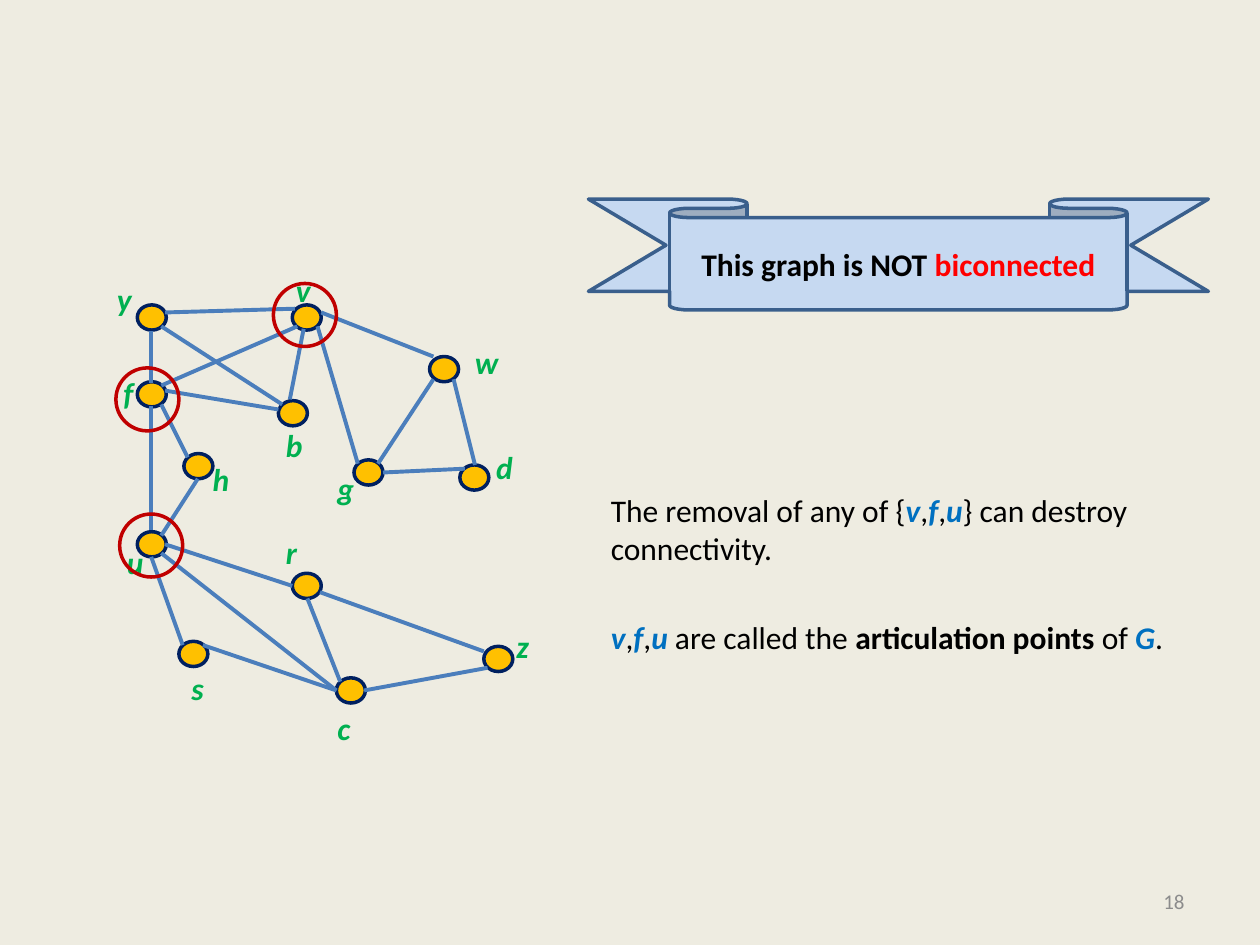
import pptx
import pptx.dml.color
import pptx.enum.shapes
import pptx.enum.text
import pptx.util
from pptx.util import Inches

SHAPE = pptx.enum.shapes.MSO_SHAPE
ALIGN = pptx.enum.text.PP_ALIGN
ANCHOR = pptx.enum.text.MSO_ANCHOR

COLORS = {
    "back": "EEECE1", "node": "FFC000", "rim": "002060", "edge": "4B7EBC",
    "label": "00B050", "ring": "C00000", "band": "C6D9F1", "trim": "3A5F8C",
    "text": "000000", "blue": "0070C0", "red": "FF0000", "grey": "8C8C8C",
}

# style: colour name, then font values
STYLES = {
    "plain": ("text", {"size": 18}),
    "bold": ("text", {"size": 18, "bold": True}),
    "alert": ("red", {"size": 18, "bold": True}),
    "math": ("blue", {"size": 18, "bold": True, "italic": True}),
    "label": ("label", {"size": 18, "bold": True, "italic": True}),
    "page": ("grey", {"size": 12}),
}

# vertex: left and top of the dot; left, top and width of the label
NODES = {
    "y": (1.09, 2.42, 0.83, 2.17, 0.32),
    "f": (1.09, 3.03, 0.88, 2.92, 0.28),
    "h": (1.46, 3.60, 1.59, 3.60, 0.34),
    "u": (1.09, 4.22, 0.91, 4.26, 0.34),
    "b": (2.21, 3.18, 2.17, 3.33, 0.34),
    "r": (2.32, 4.55, 2.17, 4.18, 0.29),
    "s": (1.42, 5.09, 1.42, 5.26, 0.30),
    "z": (3.84, 5.13, 4.00, 4.93, 0.30),
    "g": (2.81, 3.65, 2.58, 3.67, 0.34),
    "c": (2.67, 5.38, 2.58, 5.58, 0.31),
    "v": (2.32, 2.42, 2.25, 2.10, 0.32),
    "d": (3.65, 3.69, 3.84, 3.51, 0.34),
    "w": (3.41, 2.83, 3.67, 2.67, 0.39),
}

# start and end points on the rims of the dots
EDGES = {
    "ur": (1.31, 4.32, 2.32, 4.65), "fb": (1.31, 3.10, 2.21, 3.25),
    "yv": (1.31, 2.48, 2.34, 2.45), "yf": (1.20, 2.63, 1.20, 3.04),
    "su": (1.45, 5.12, 1.20, 4.42), "fu": (1.20, 3.22, 1.20, 4.21),
    "vw": (2.55, 2.48, 3.44, 2.83), "dw": (3.77, 3.69, 3.60, 3.01),
    "cz": (2.89, 5.48, 3.87, 5.30), "fh": (1.28, 3.21, 1.49, 3.63),
    "rc": (2.44, 4.75, 2.70, 5.41), "gd": (3.04, 3.75, 3.69, 3.72),
    "gw": (3.00, 3.68, 3.44, 3.01), "uc": (1.28, 4.39, 2.67, 5.48),
    "vb": (2.41, 2.61, 2.30, 3.17), "zr": (3.84, 5.17, 2.54, 4.70),
    "yb": (1.28, 2.59, 2.24, 3.21), "vf": (2.36, 2.59, 1.28, 3.06),
    "vg": (2.52, 2.59, 2.84, 3.68), "hu": (1.57, 3.80, 1.28, 4.25),
    "sc": (1.61, 5.12, 2.67, 5.48),
}

RINGS = {"v": (2.17, 2.25), "f": (0.92, 2.92), "u": (0.95, 4.08)}

TRIO = [("v", "math"), (",", "plain"), ("f", "math"), (",", "plain")]
CLAIM = [("The removal of any of {", "plain"), *TRIO, ("u", "math"),
         ("} can destroy connectivity.", "plain")]
TERM = [*TRIO, ("u ", "math"), ("are called the ", "plain"),
        ("articulation points ", "bold"), ("of ", "plain"),
        ("G", "math"), (".", "plain")]


def color(name):
    return pptx.dml.color.RGBColor.from_string(COLORS[name])


def assign(item, values):
    for key, value in values.items():
        setattr(item, key, value)


def add_runs(para, runs):
    for text, style in runs:
        run = para.add_run()
        run.text = text
        tint, values = STYLES[style]
        assign(run.font, {"name": "Calibri", **values,
                          "size": pptx.util.Pt(values["size"])})
        run.font.color.rgb = color(tint)


def add_text(shapes, box, paras, gap=0, align=ALIGN.LEFT, **frame):
    """Text box; gap is the space in points between paragraphs."""
    body = shapes.add_textbox(*map(Inches, box)).text_frame
    assign(body, {"word_wrap": True, **frame})
    for i, runs in enumerate(paras):
        para = body.add_paragraph() if i else body.paragraphs[0]
        para.alignment = align
        if i:
            para.space_before = pptx.util.Pt(gap)
        add_runs(para, runs)


def set_line(item, name, width):
    item.line.color.rgb = color(name)
    item.line.width = pptx.util.Pt(width)


def add_shape(shapes, kind, box, line, fill=None):
    shape = shapes.add_shape(kind, *map(Inches, box))
    shape.shadow.inherit = False
    if fill:
        shape.fill.solid()
        shape.fill.fore_color.rgb = color(fill)
    else:
        shape.fill.background()
    set_line(shape, line, 2)
    return shape


def add_edge(shapes, ends):
    line = shapes.add_connector(pptx.enum.shapes.MSO_CONNECTOR.STRAIGHT,
                                *map(Inches, ends))
    set_line(line, "edge", 2.25)
    props = line._element.spPr
    props.append(pptx.oxml.parse_xml(
        '<a:effectLst xmlns:a='
        '"http://schemas.openxmlformats.org/drawingml/2006/main"/>'))


def add_graph(shapes):
    group = shapes.add_group_shape().shapes
    for x, y, *_ in NODES.values():
        add_shape(group, SHAPE.OVAL, (x, y, 0.23, 0.2), "rim", "node")
    for ends in EDGES.values():
        add_edge(group, ends)
    for name, (_, _, x, y, wide) in NODES.items():
        add_text(group, (x, y, wide, 0.4), [[(name, "label")]],
                 word_wrap=False)


def add_banner(shapes):
    band = add_shape(shapes, SHAPE.DOWN_RIBBON, (4.67, 1.58, 4.92, 0.88),
                     "trim", "band")
    band.adjustments[0] = 0.167
    band.adjustments[1] = 0.738
    body = band.text_frame
    assign(body, {"word_wrap": True, "vertical_anchor": ANCHOR.MIDDLE})
    para = body.paragraphs[0]
    para.alignment = ALIGN.CENTER
    add_runs(para, [("This graph is NOT ", "bold"), ("biconnected", "alert")])


def main():
    deck = pptx.Presentation()
    assign(deck, {"slide_width": Inches(10), "slide_height": Inches(7.5)})
    slide = deck.slides.add_slide(deck.slide_layouts[6])
    slide.background.fill.solid()
    slide.background.fill.fore_color.rgb = color("back")
    shapes = slide.shapes
    add_text(shapes, (4.75, 1.75, 5, 4.95), [CLAIM, TERM], gap=29,
             margin_top=Inches(2.15))
    add_text(shapes, (7.17, 6.95, 2.33, 0.4), [[("18", "page")]],
             align=ALIGN.RIGHT, vertical_anchor=ANCHOR.MIDDLE)
    add_graph(shapes)
    add_banner(shapes)
    for x, y in RINGS.values():
        add_shape(shapes, SHAPE.OVAL, (x, y, 0.5, 0.5), "ring")
    deck.save("out.pptx")


if __name__ == "__main__":
    main()
